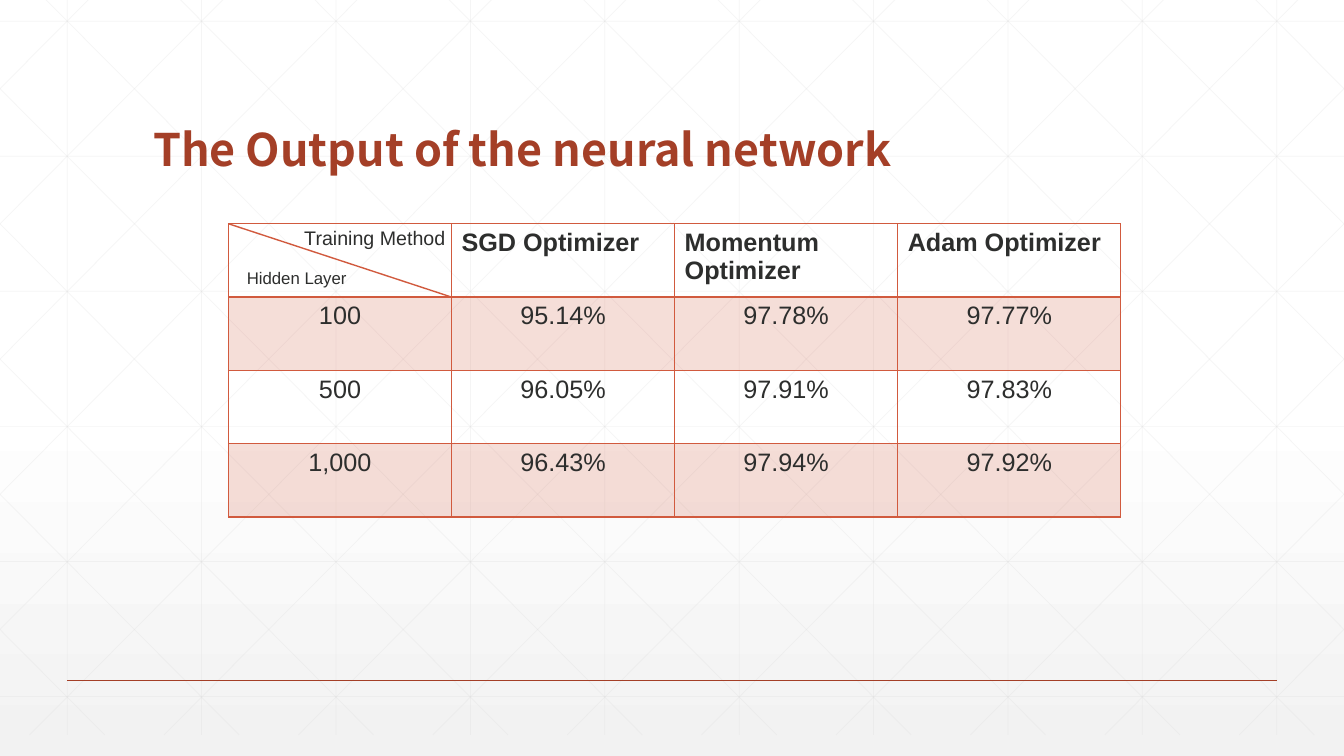
from lxml.etree import SubElement
from pptx import Presentation
from pptx.dml.color import RGBColor
from pptx.enum.shapes import MSO_CONNECTOR
from pptx.enum.text import MSO_ANCHOR, PP_ALIGN
from pptx.oxml import parse_xml
from pptx.oxml.ns import nsdecls, qn
from pptx.util import Inches, Pt

W, H = 13.333, 7.5
HUES = {"white": "FFFFFF", "pale": "F2F2F2", "mesh": "D9D9D9",
        "rust": "A43F27", "edge": "D15A3E", "ink": "2D2E2D"}

deck = Presentation()
deck.slide_width, deck.slide_height = Inches(W), Inches(H)
slide = deck.slides.add_slide(deck.slide_layouts[6])


def draw(x1, y1, x2, y2, hue, width=1, alpha=100):
    line = slide.shapes.add_connector(
        MSO_CONNECTOR.STRAIGHT, Inches(x1), Inches(y1), Inches(x2), Inches(y2))
    line.line.color.rgb = RGBColor.from_string(HUES[hue])
    line.line.width = Pt(width)
    if alpha < 100:
        for tint in line.line._ln.iter(qn("a:srgbClr")):
            SubElement(tint, qn("a:alpha")).set("val", str(alpha * 1000))
    SubElement(line._element.spPr, qn("a:effectLst"))


def write(frame, text, size, hue="ink", bold=False, font="Arial"):
    frame.word_wrap = True
    run = frame.paragraphs[0].add_run()
    run.text = text
    run.font.size = Pt(size)
    run.font.name = font
    run.font.bold = bold
    run.font.color.rgb = RGBColor.from_string(HUES[hue])
    if font != "Arial":
        SubElement(run.font._element, qn("a:ea")).set("typeface", font)


fill = slide.background.fill
fill.gradient()
fill.gradient_angle = 270
for stop, hue, place in zip(fill.gradient_stops, ("white", "pale"), (0.53, 1)):
    stop.color.rgb = RGBColor.from_string(HUES[hue])
    stop.position = place

step = W / 10
top, base = -0.21, H - 0.21
for i in range(10):
    x = (i + 0.5) * step
    draw(x, top, x, base, "mesh", 0.5, 25)
for i in range(6):
    y = 0.21 + i * 1.34
    draw(0, y, W, y, "mesh", 0.5, 25)

reach = 7.455
for i in range(-5, 10):
    start = 0.25 + i * step
    left, right = max(start, 0), min(start + reach, W)
    y1, y2 = (top + (x - start) * H / reach for x in (left, right))
    draw(left, y1, right, y2, "mesh", 0.5, 25)
    draw(W - left, y1, W - right, y2, "mesh", 0.5, 25)

draw(W * 0.05, H * 0.9, W * 0.95, H * 0.9, "rust")

title = slide.shapes.add_textbox(
    Inches(W * 0.1065), Inches(H * 0.073), Inches(W * 0.7875), Inches(H / 6))
title.text_frame.vertical_anchor = MSO_ANCHOR.BOTTOM
title.text_frame.paragraphs[0].line_spacing = 0.9
write(title.text_frame, "The Output of the neural network", 32, "rust", True,
      "Noto Sans CJK SC")

rows = [
    ("", "SGD Optimizer", "Momentum Optimizer", "Adam Optimizer"),
    ("100", "95.14%", "97.78%", "97.77%"),
    ("500", "96.05%", "97.91%", "97.83%"),
    ("1,000", "96.43%", "97.94%", "97.92%"),
]
x0, y0, wide, high = W * 0.17, H * 0.296, W * 0.166, H * 0.097
table = slide.shapes.add_table(
    4, 4, Inches(x0), Inches(y0), Inches(wide * 4), Inches(high * 4)).table
table.first_row = table.horz_banding = False
for r, row in enumerate(rows):
    for c, text in enumerate(row):
        cell = table.cell(r, c)
        if text:
            write(cell.text_frame, text, 18, bold=r == 0)
        if r:
            cell.text_frame.paragraphs[0].alignment = PP_ALIGN.CENTER
        props = cell._tc.get_or_add_tcPr()
        for side in "LRTB":
            thick = 2 if (r, side) in ((0, "B"), (1, "T")) else 1
            props.append(parse_xml(
                f'<a:ln{side} {nsdecls("a")} w="{Pt(thick)}"><a:solidFill>'
                f'<a:srgbClr val="{HUES["edge"]}"/></a:solidFill></a:ln{side}>'))
        if r % 2:
            cell.fill.solid()
            cell.fill.fore_color.rgb = RGBColor.from_string(HUES["edge"])
            tint = props.find(qn("a:solidFill")).find(qn("a:srgbClr"))
            SubElement(tint, qn("a:alpha")).set("val", "20000")
        else:
            cell.fill.background()

draw(x0, y0, x0 + wide, y0 + high, "edge")
labels = [("Training Method", 14, 2.92, 2.19, 2.03, 0.34),
          ("Hidden Layer", 12, 2.35, 2.61, 1.33, 0.3)]
for text, size, *box in labels:
    label = slide.shapes.add_textbox(*map(Inches, box))
    write(label.text_frame, text, size)

deck.save("out.pptx")
